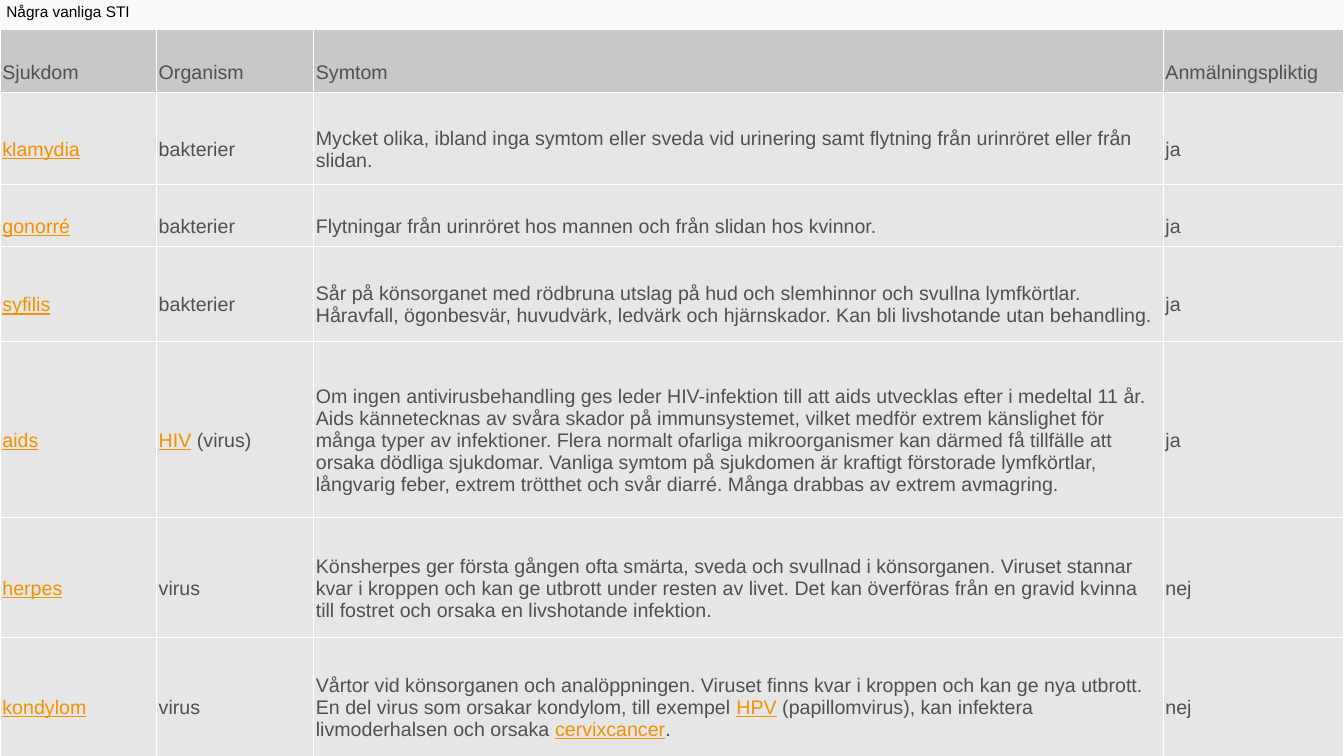
from dataclasses import dataclass

from lxml import etree
from pptx import Presentation
from pptx import util as u
from pptx.dml.color import RGBColor
from pptx.enum import text
from pptx.oxml import ns

COLORS = {
    "background": "17406D",
    "title_fill": "FAFAFA",
    "header_fill": "C8C8C8",
    "body_fill": "E6E6E6",
    "border": "FFFFFF",
    "title": "000000",
    "text": "505050",
    "link": "F49100",
}
COL_WIDTHS = [3.94, 3.96, 21.41, 4.55]
BORDER_WIDTH = u.Pt(0.6)


@dataclass
class Row:
    """One table row; text between bars is set as a link."""
    height: float
    cells: tuple[str, ...]
    fill: str = "body_fill"
    sides: str = "LRTB"


TITLE = Row(0.76, ("Några vanliga STI",), "title_fill", "")
ROWS = [
    Row(1.57, ("Sjukdom", "Organism", "Symtom", "Anmälningspliktig"), "header_fill", "LRB"),
    Row(2.32, (
        "|klamydia|", "bakterier",
        "Mycket olika, ibland inga symtom eller sveda vid urinering samt flytning "
        "från urinröret eller från slidan.", "ja")),
    Row(1.56, (
        "|gonorré|", "bakterier",
        "Flytningar från urinröret hos mannen och från slidan hos kvinnor.", "ja")),
    Row(2.39, (
        "|syfilis|", "bakterier",
        "Sår på könsorganet med rödbruna utslag på hud och slemhinnor och svullna "
        "lymfkörtlar. Håravfall, ögonbesvär, huvudvärk, ledvärk och hjärnskador. "
        "Kan bli livshotande utan behandling.", "ja")),
    Row(4.44, (
        "|aids|", "|HIV| (virus)",
        "Om ingen antivirusbehandling ges leder HIV-infektion till att aids utvecklas "
        "efter i medeltal 11 år. Aids kännetecknas av svåra skador på immunsystemet, "
        "vilket medför extrem känslighet för många typer av infektioner. Flera normalt "
        "ofarliga mikroorganismer kan därmed få tillfälle att orsaka dödliga sjukdomar. "
        "Vanliga symtom på sjukdomen är kraftigt förstorade lymfkörtlar, långvarig "
        "feber, extrem trötthet och svår diarré. Många drabbas av extrem avmagring.", "ja")),
    Row(3.01, (
        "|herpes|", "virus",
        "Könsherpes ger första gången ofta smärta, sveda och svullnad i könsorganen. "
        "Viruset stannar kvar i kroppen och kan ge utbrott under resten av livet. Det "
        "kan överföras från en gravid kvinna till fostret och orsaka en livshotande "
        "infektion.", "nej")),
    Row(3.0, (
        "|kondylom|", "virus",
        "Vårtor vid könsorganen och analöppningen. Viruset finns kvar i kroppen och kan "
        "ge nya utbrott. En del virus som orsakar kondylom, till exempel |HPV| "
        "(papillomvirus), kan infektera livmoderhalsen och orsaka |cervixcancer|.", "nej")),
]


def rgb(name: str) -> RGBColor:
    return RGBColor.from_string(COLORS[name])


def set_borders(cell, sides: str) -> None:
    """Draw the listed sides and clear the others; call before filling the cell."""
    tc_pr = cell._tc.get_or_add_tcPr()
    for side in "LRTB":
        ln = etree.SubElement(tc_pr, ns.qn(f"a:ln{side}"), w=str(BORDER_WIDTH))
        if side in sides:
            fill = etree.SubElement(ln, ns.qn("a:solidFill"))
            etree.SubElement(fill, ns.qn("a:srgbClr"), val=COLORS["border"])
        else:
            etree.SubElement(ln, ns.qn("a:noFill"))


def write_text(cell, content: str, *, size: float, color: str) -> None:
    p = cell.text_frame.paragraphs[0]
    p.font.size = u.Pt(size)
    for i, part in enumerate(content.split("|")):
        if part:
            is_link = i % 2 == 1
            r = p.add_run()
            r.text = part
            r.font.name = "Arial"
            r.font.size = u.Pt(size)
            r.font.bold = False
            r.font.underline = is_link
            r.font.color.rgb = rgb("link" if is_link else color)


def format_cell(cell, row: Row, *, side_margin: float, top_margin: float,
                anchor: text.MSO_ANCHOR) -> None:
    cell.margin_left = cell.margin_right = u.Cm(side_margin)
    cell.margin_top, cell.margin_bottom = u.Cm(top_margin), u.Cm(0.08)
    cell.vertical_anchor = anchor
    set_borders(cell, row.sides)
    cell.fill.solid()
    cell.fill.fore_color.rgb = rgb(row.fill)


def main() -> None:
    prs = Presentation()
    prs.slide_width, prs.slide_height = u.Cm(33.87), u.Cm(19.05)
    s = prs.slides.add_slide(prs.slide_layouts[6])
    s.background.fill.solid()
    s.background.fill.fore_color.rgb = rgb("background")

    all_rows = [TITLE, *ROWS]
    table = s.shapes.add_table(len(all_rows), len(COL_WIDTHS), 0, 0,
                               prs.slide_width, prs.slide_height).table
    table.horz_banding = False
    for column, width in zip(table.columns, COL_WIDTHS):
        column.width = u.Cm(width)
    for table_row, row in zip(table.rows, all_rows):
        table_row.height = u.Cm(row.height)

    title = table.cell(0, 0)
    title.merge(table.cell(0, len(COL_WIDTHS) - 1))
    for cell in table.rows[0].cells:
        format_cell(cell, TITLE, side_margin=0.16, top_margin=0.08,
                    anchor=text.MSO_ANCHOR.TOP)
    write_text(title, TITLE.cells[0], size=11, color="title")

    for table_row, row in zip(list(table.rows)[1:], ROWS):
        for cell, content in zip(table_row.cells, row.cells):
            format_cell(cell, row, side_margin=0.06, top_margin=0.64,
                        anchor=text.MSO_ANCHOR.MIDDLE)
            write_text(cell, content, size=14, color="text")

    prs.save("out.pptx")


if __name__ == "__main__":
    main()
